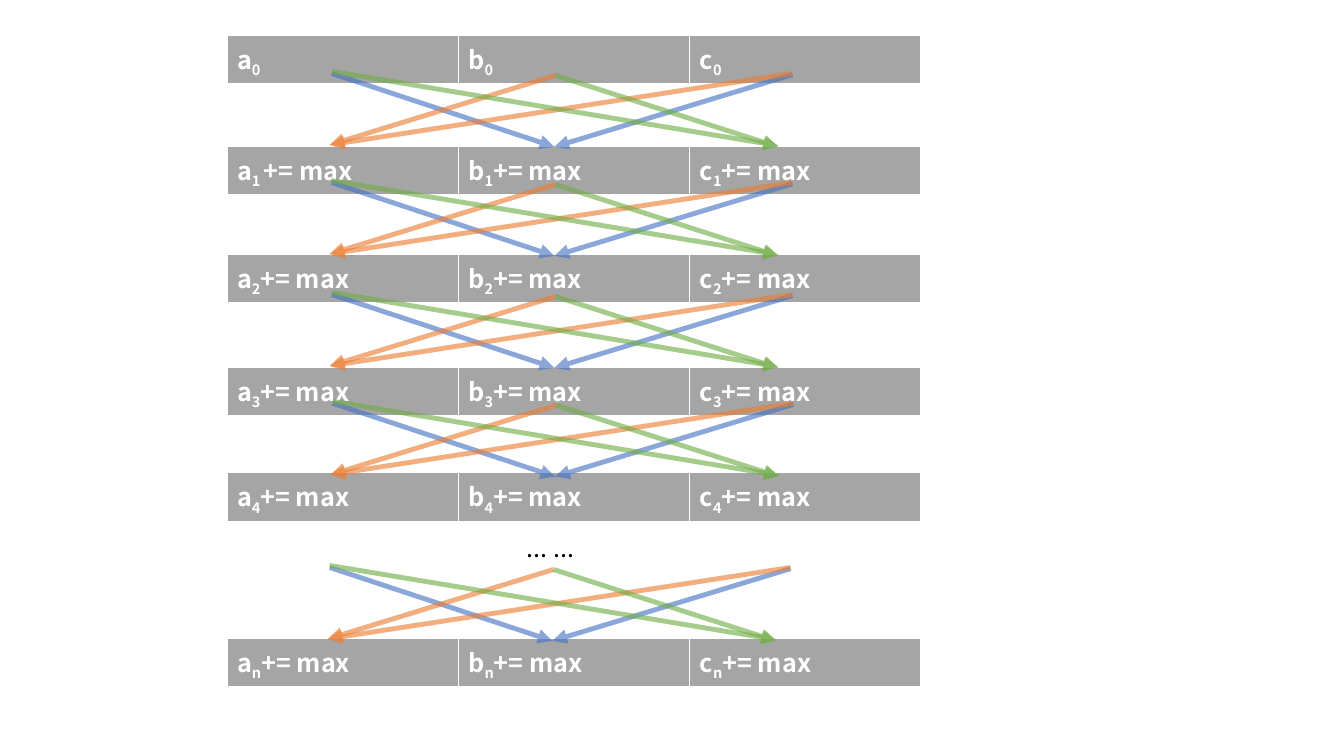
from pptx import Presentation
from pptx.util import Cm, Pt
from pptx.dml.color import RGBColor
from pptx.enum.shapes import MSO_CONNECTOR
from pptx.enum.text import MSO_AUTO_SIZE
from pptx.oxml import parse_xml
from pptx.oxml.ns import nsdecls
from lxml.etree import SubElement

FONT = "Noto Sans CJK SC"
GRAY, WHITE, BLACK = "A5A5A5", "FFFFFF", "000000"
BLUE, ORANGE, GREEN = "4472C4", "ED7D31", "70AD47"

NAMES = "abc"
ROWS = [
    (0.89, "0", ""),
    (3.68, "1", "+= max"),
    (6.4, "2", "+= max"),
    (9.25, "3", "+= max"),
    (11.91, "4", "+= max"),
    (16.08, "n", "+= max"),
]
LEFT, WIDE, HIGH = 5.72, 5.83, 1.03
BORDERS = [("lnL", 1), ("lnR", 1), ("lnT", 1), ("lnB", 3)]

WEBS = [(8.36, 1.85), (8.36, 4.6), (8.36, 7.42), (8.38, 10.16), (8.31, 14.3)]
ARROWS = [
    (BLUE, (0, 0), (5.61, 1.85)),
    (BLUE, (11.61, 0.03), (5.61, 1.85)),
    (ORANGE, (5.64, 0.05), (-0.05, 1.8)),
    (ORANGE, (11.61, 0), (-0.05, 1.8)),
    (GREEN, (5.64, 0.05), (11.25, 1.85)),
    (GREEN, (0, -0.05), (11.25, 1.82)),
]


def color(code):
    return RGBColor.from_string(code)


def write(para, text, code, bold=False, base=0):
    run = para.add_run()
    run.text = text
    font = run.font
    font.name, font.size, font.bold = FONT, Pt(18), bold
    font.color.rgb = color(code)
    if base:
        font._element.set("baseline", str(base))


def edge(cell):
    props = cell._tc.get_or_add_tcPr()
    for spot, (tag, size) in enumerate(BORDERS):
        props.insert(spot, parse_xml(
            f'<a:{tag} {nsdecls("a")} w="{Pt(size)}"><a:solidFill>'
            f'<a:srgbClr val="{WHITE}"/></a:solidFill></a:{tag}>'))


def add_row(slide, top, index, tail):
    frame = slide.shapes.add_table(
        1, len(NAMES), Cm(LEFT), Cm(top), Cm(WIDE * len(NAMES)), Cm(HIGH))
    for name, cell in zip(NAMES, frame.table.rows[0].cells):
        cell.fill.solid()
        cell.fill.fore_color.rgb = color(GRAY)
        edge(cell)
        para = cell.text_frame.paragraphs[0]
        gap = " " if name + index == "a1" else ""
        write(para, name, WHITE, True)
        write(para, index + gap, WHITE, True, -25000)
        if tail:
            write(para, tail, WHITE, True)


def add_arrow(slide, code, start, end):
    line = slide.shapes.add_connector(
        MSO_CONNECTOR.STRAIGHT, *map(Cm, start + end))
    line.line.width = Pt(3.5)
    line.line.color.rgb = color(code)
    props = line._element.spPr
    for fill in props.xpath(".//a:srgbClr"):
        SubElement(fill, fill.tag.replace("srgbClr", "alpha"), val="62000")
    stroke = line.line._get_or_add_ln()
    stroke.append(parse_xml(f'<a:tailEnd {nsdecls("a")} type="triangle"/>'))
    props.append(parse_xml(f'<a:effectLst {nsdecls("a")}/>'))


deck = Presentation()
deck.slide_width, deck.slide_height = Cm(33.87), Cm(19.05)
slide = deck.slides.add_slide(deck.slide_layouts[6])

for row in ROWS:
    add_row(slide, *row)

dots = slide.shapes.add_textbox(Cm(13.03), Cm(13.28), Cm(2.87), Cm(1.02))
dots.text_frame.word_wrap = True
dots.text_frame.auto_size = MSO_AUTO_SIZE.SHAPE_TO_FIT_TEXT
write(dots.text_frame.paragraphs[0], "... ...", BLACK)

for x, y in WEBS:
    for code, start, end in ARROWS:
        add_arrow(slide, code, (x + start[0], y + start[1]),
                  (x + end[0], y + end[1]))

deck.save("out.pptx")
